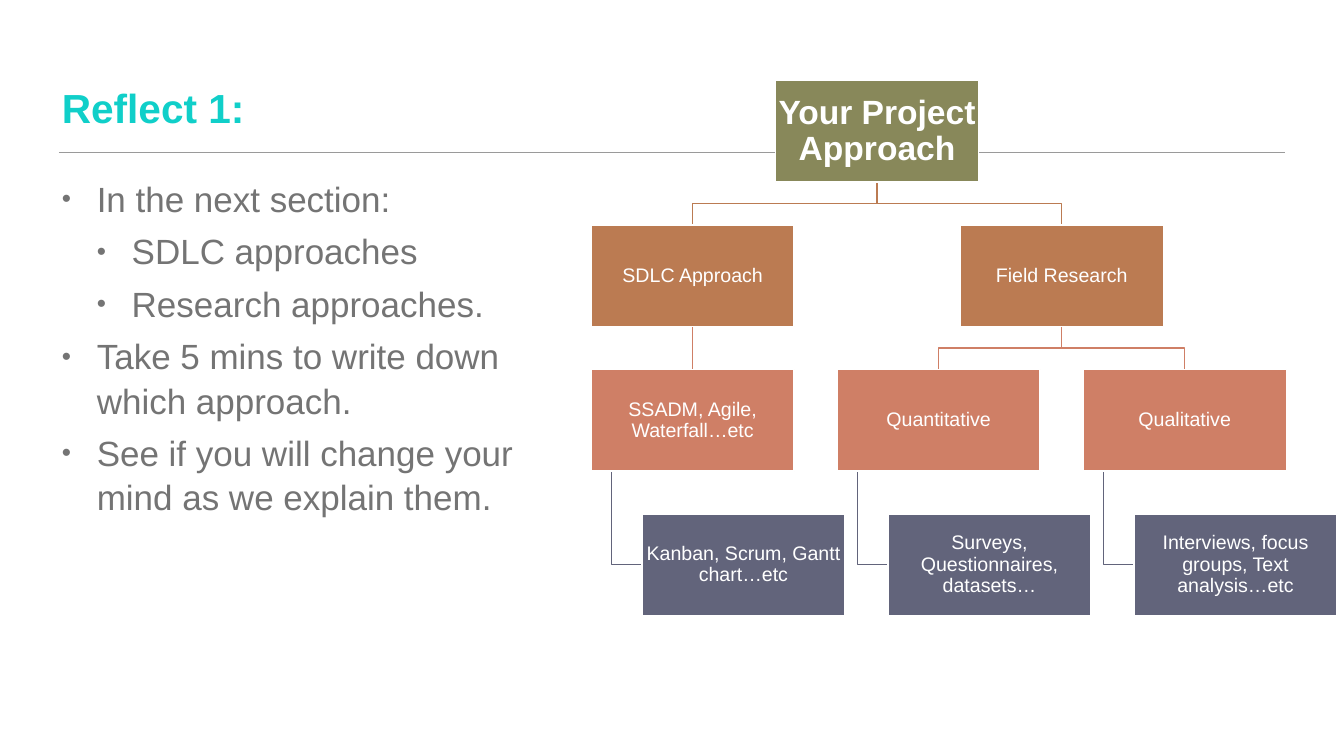
"""Build the Reflect 1 slide with its notes and project approach tree."""
from lxml.etree import SubElement
from pptx import Presentation
from pptx.dml.color import RGBColor
from pptx.enum.shapes import MSO_CONNECTOR, MSO_SHAPE
from pptx.enum.text import MSO_ANCHOR, PP_ALIGN
from pptx.oxml.ns import qn
from pptx.util import Cm, Pt

TITLE = "Reflect 1:"
NOTES = [
    (0, "In the next section:"),
    (1, "SDLC approaches"),
    (1, "Research approaches."),
    (0, "Take 5 mins to write down which approach."),
    (0, "See if you will change your mind as we explain them."),
]
TREE = {
    "root": ("Your Project Approach", 0, 0.75, None),
    "sdlc": ("SDLC Approach", 1, 0, "root"),
    "field": ("Field Research", 1, 1.5, "root"),
    "agile": ("SSADM, Agile, Waterfall…etc", 2, 0, "sdlc"),
    "quant": ("Quantitative", 2, 1, "field"),
    "qual": ("Qualitative", 2, 2, "field"),
    "scrum": ("Kanban, Scrum, Gantt chart…etc", 3, 0, "agile"),
    "survey": ("Surveys, Questionnaires, datasets…", 3, 1, "quant"),
    "focus": ("Interviews, focus groups, Text analysis…etc", 3, 2, "qual"),
}
FILLS = ["88885A", "BB7B52", "CF7F66", "62647B"]
WHITE, GREY, TEAL, RULE = "FFFFFF", "747474", "10CFC9", "9A9A9A"
LEFT, TOP, WIDE, HIGH = 29.79, 4.06, 10.24, 5.12
COL, ROW, LAST = 12.4, 7.28, 3
STEP = 1.76


def color(code):
    return RGBColor.from_string(code)


def style(para, size, code, bold=False):
    for run in para.runs:
        font = run.font
        font.name, font.size, font.bold = "Arial", Pt(size), bold
        font.color.rgb = color(code)


def inset(frame, gap):
    frame.word_wrap = True
    frame.margin_left = frame.margin_right = Cm(gap)
    frame.margin_top = frame.margin_bottom = Cm(gap)


def add_text(slide, left, top, wide, high):
    frame = slide.shapes.add_textbox(Cm(left), Cm(top), Cm(wide), Cm(high)).text_frame
    inset(frame, 0.15)
    return frame


def add_line(slide, start, end, code, width):
    line = slide.shapes.add_connector(MSO_CONNECTOR.STRAIGHT, *map(Cm, start + end))
    line.line.color.rgb = color(code)
    line.line.width = Pt(width)
    SubElement(line._element.spPr, qn("a:effectLst"))


def add_elbow(slide, points, code):
    first, *rest = [(Cm(x), Cm(y)) for x, y in points]
    form = slide.shapes.build_freeform(*first)
    form.add_line_segments(rest, close=False)
    shape = form.convert_to_shape()
    shape.shadow.inherit = False
    shape.fill.background()
    shape.line.color.rgb = color(code)
    shape.line.width = Pt(2)


def add_bullet(para, level):
    props = para._p.get_or_add_pPr()
    props.set("marL", str(Cm(STEP * (level + 1))))
    props.set("indent", str(-Cm(STEP)))
    SubElement(props, qn("a:buSzPct"), val="75000")
    SubElement(props, qn("a:buFont"), typeface="Arial")
    SubElement(props, qn("a:buChar"), char="•")


def add_notes(slide):
    frame = add_text(slide, 2.97, 8.69, 26.29, 26.04)
    for i, (level, text) in enumerate(NOTES):
        para = frame.add_paragraph() if i else frame.paragraphs[0]
        para.text = text
        para.level = level
        para.line_spacing = 1.05
        para.space_before = Pt(12 if i else 0)
        add_bullet(para, level)
        style(para, 50, GREY)


def place(name):
    row, col = TREE[name][1:3]
    shift = WIDE / 4 if row == LAST else 0
    return LEFT + col * COL + shift, TOP + row * ROW


def add_link(slide, name):
    row, boss = TREE[name][1], TREE[name][3]
    x, y = place(name)
    px, py = place(boss)
    base, mid, pmid = py + HIGH, x + WIDE / 2, px + WIDE / 2
    if row == LAST:
        stem, level = px + WIDE / 10, y + HIGH / 2
        add_elbow(slide, [(stem, base), (stem, level), (x, level)], FILLS[row])
    elif mid == pmid:
        add_line(slide, (mid, base), (mid, y), FILLS[row], 2)
    else:
        bend = (base + y) / 2
        add_elbow(slide, [(pmid, base), (pmid, bend), (mid, bend), (mid, y)], FILLS[row])


def add_box(slide, name):
    text, row = TREE[name][:2]
    x, y = place(name)
    box = slide.shapes.add_shape(MSO_SHAPE.RECTANGLE, Cm(x), Cm(y), Cm(WIDE), Cm(HIGH))
    box.shadow.inherit = False
    box.fill.solid()
    box.fill.fore_color.rgb = color(FILLS[row])
    box.line.color.rgb = color(WHITE)
    box.line.width = Pt(2)
    frame = box.text_frame
    inset(frame, 0.05)
    frame.vertical_anchor = MSO_ANCHOR.MIDDLE
    frame.text = text
    para = frame.paragraphs[0]
    para.alignment = PP_ALIGN.CENTER
    para.line_spacing = 0.9
    style(para, 28 if row else 48, WHITE, bold=row == 0)


def main():
    deck = Presentation()
    deck.slide_width, deck.slide_height = Cm(67.74), Cm(38.1)
    slide = deck.slides.add_slide(deck.slide_layouts[6])
    add_line(slide, (2.97, 7.7), (64.77, 7.7), RULE, 1)
    head = add_text(slide, 2.97, 1.3, 61.77, 5.46)
    head.vertical_anchor = MSO_ANCHOR.BOTTOM
    head.text = TITLE
    style(head.paragraphs[0], 58, TEAL, bold=True)
    add_notes(slide)
    for name in TREE:
        if TREE[name][3]:
            add_link(slide, name)
    for name in TREE:
        add_box(slide, name)
    deck.save("out.pptx")


if __name__ == "__main__":
    main()
